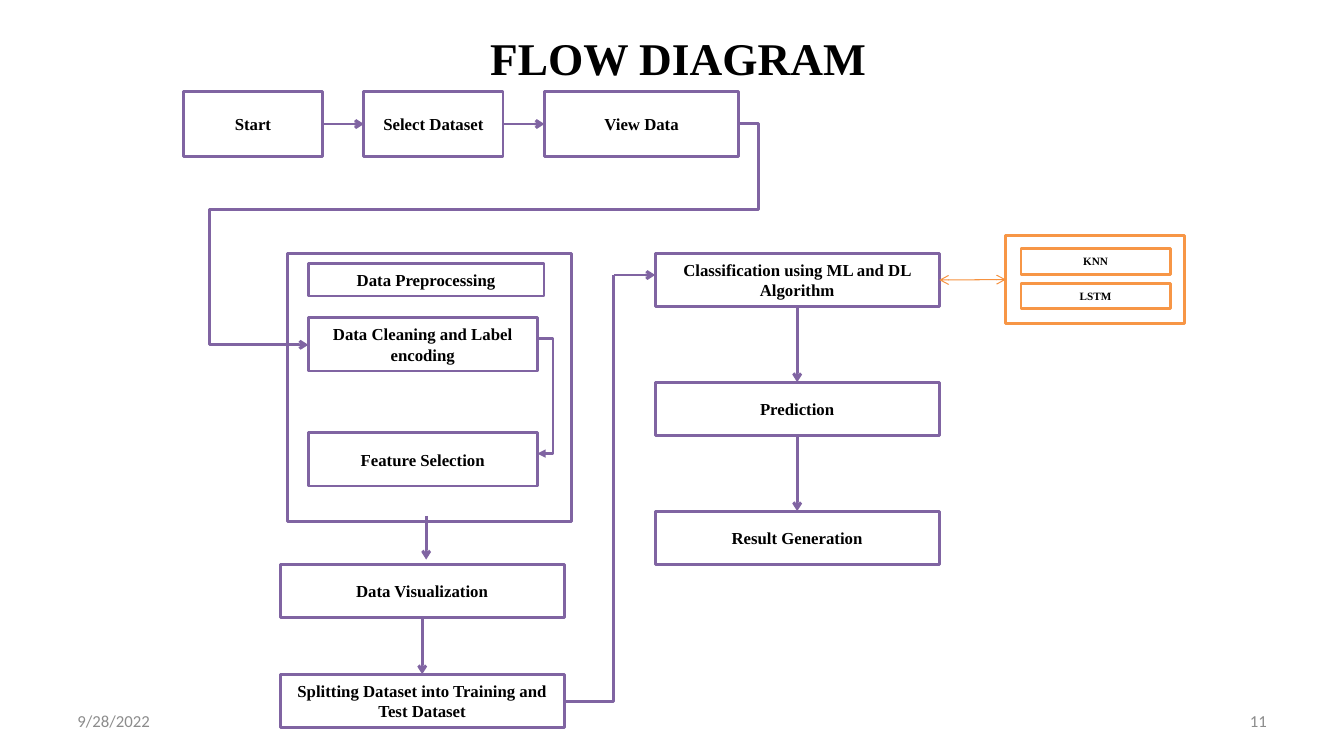
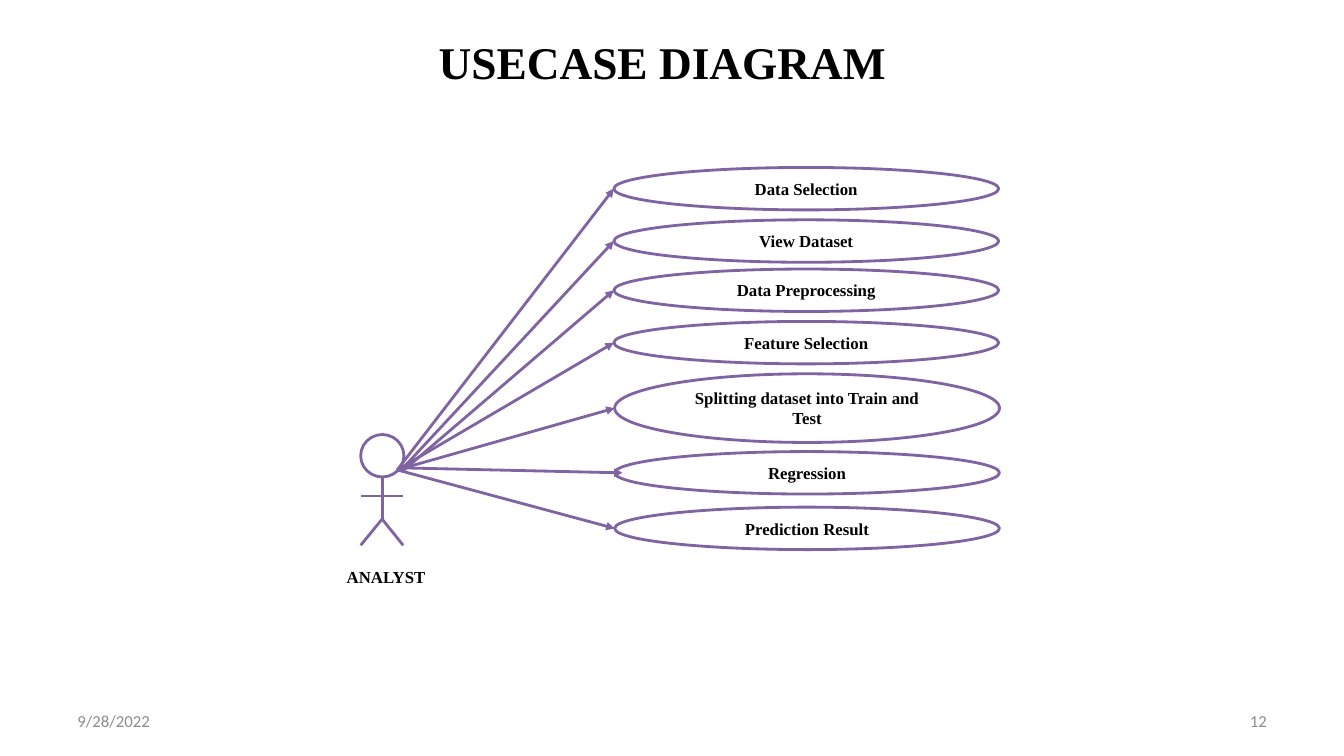
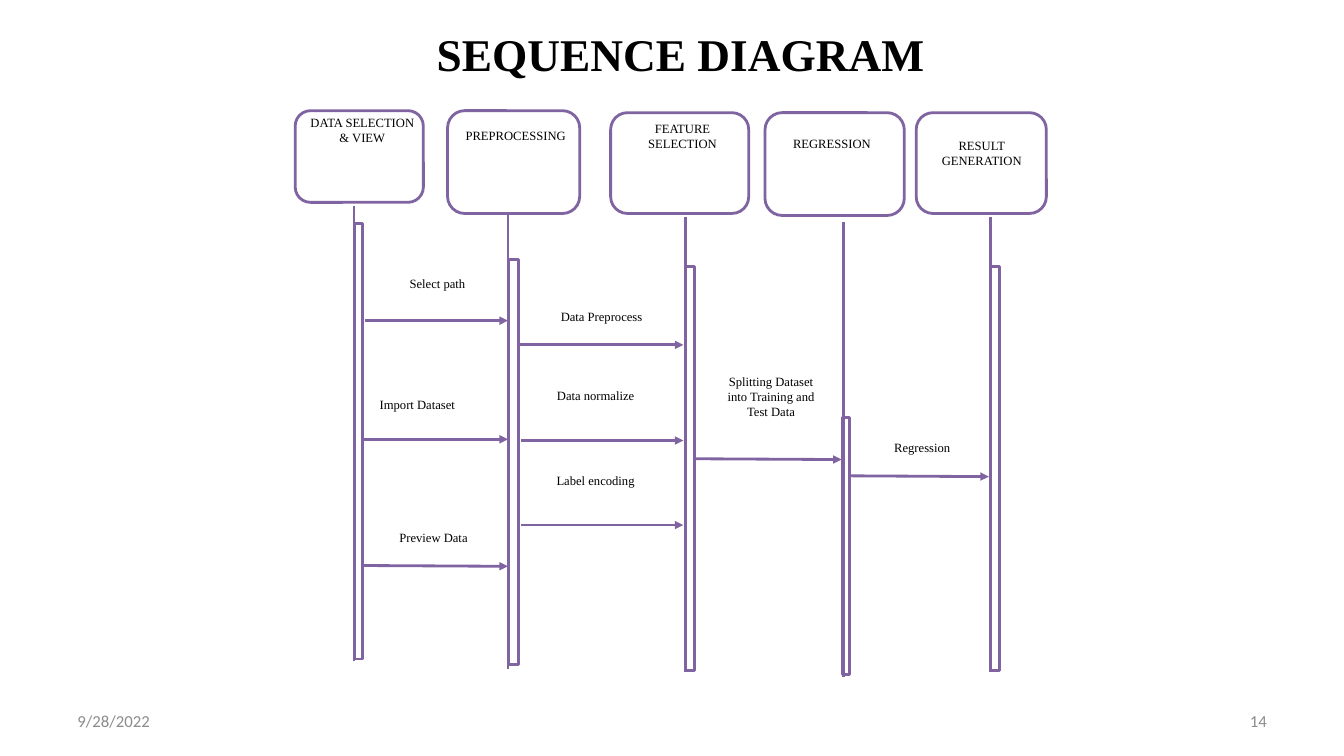
from lxml.etree import SubElement
from pptx import Presentation
from pptx.dml.color import RGBColor
from pptx.enum.shapes import MSO_CONNECTOR as LINK, MSO_SHAPE as SHAPE
from pptx.enum.text import MSO_ANCHOR as ANCHOR, MSO_AUTO_SIZE as FIT, PP_ALIGN as ALIGN
from pptx.oxml.ns import qn
from pptx.util import Cm, Pt

PURPLE = RGBColor(0x80, 0x64, 0xA2)
ORANGE = RGBColor(0xF7, 0x96, 0x46)
ARROW_ORANGE = RGBColor(0xF6, 0x92, 0x40)
WHITE = RGBColor(0xFF, 0xFF, 0xFF)
BLACK = RGBColor(0, 0, 0)
GREY = RGBColor(0x8C, 0x8C, 0x8C)
SERIF, SANS = "Times New Roman", "Calibri"
TOP, LEFT, BOTTOM, RIGHT = range(4)  # connection sites of a rectangle

# ---- Content; all lengths in centimetres ----
DATE = "9/28/2022"
# Title, left, top, slide number
FLOW_HEAD = ("FLOW DIAGRAM", 3.12, 0.56, "11")
USECASE_HEAD = ("USECASE DIAGRAM", 2.72, 0.66, "12")
SEQUENCE_HEAD = ("SEQUENCE DIAGRAM", 3.18, 0.48, "14")

# Step: text, left, top, width, height
STEP_W, STEP_H = 7.16, 1.35
STEPS = {
    "start": ("Start", 4.62, 2.31, 3.51, 1.63),
    "select": ("Select Dataset", 9.17, 2.31, 3.51, 1.63),
    "view": ("View Data", 13.72, 2.31, 4.9, 1.63),
    "panel": ("", 7.24, 6.38, STEP_W, 6.76),
    "preprocess": ("Data Preprocessing", 7.77, 6.65, 5.94, 0.81),
    "clean": ("Data Cleaning and Label encoding", 7.77, 8, 5.77, STEP_H),
    "feature": ("Feature Selection", 7.77, 10.9, 5.77, STEP_H),
    "visualize": ("Data Visualization", 7.06, 14.22, STEP_W, STEP_H),
    "split": ("Splitting Dataset into Training and Test Dataset",
              7.06, 16.99, STEP_W, STEP_H),
    "classify": ("Classification using ML and DL Algorithm",
                 16.51, 6.38, STEP_W, STEP_H),
    "predict": ("Prediction", 16.51, 9.63, STEP_W, STEP_H),
    "result": ("Result Generation", 16.51, 12.88, STEP_W, STEP_H),
}
ALGORITHMS = {
    "models": ("", 25.35, 5.94, 4.5, 2.21),
    "knn": ("KNN", 25.73, 6.27, 3.76, 0.64),
    "lstm": ("LSTM", 25.73, 7.14, 3.76, 0.64),
}
STEP_LINKS = [
    ("start", RIGHT, "select", LEFT),
    ("select", RIGHT, "view", LEFT),
    ("visualize", BOTTOM, "split", TOP),
    ("classify", BOTTOM, "predict", TOP),
    ("predict", BOTTOM, "result", TOP),
]
# Elbow: start, end, x of the vertical part, arrowhead
ELBOWS = [
    ((18.62, 3.12), (5.31, 5.28), 19.13, None),
    ((5.31, 5.28), (7.77, 8.69), 5.28, "arrow"),
    ((14.25, 17.68), (15.47, 6.93), 15.47, None),
    ((13.51, 8.53), (13.54, 11.43), 13.94, "triangle"),
]
LOOSE_ARROWS = [((10.74, 13), (10.74, 14.1)), ((15.47, 6.93), (16.51, 6.93))]

# Use case: text, left, top, height, arrow start, arrow overlap
USECASE_W = 9.7
USECASES = [
    ("Data Selection", 15.47, 4.22, 1.07, (10.01, 11.84), 0),
    ("View Dataset", 15.47, 5.54, 1.07, (10.16, 11.79), 0),
    ("Data Preprocessing", 15.47, 6.78, 1.07, (10.16, 11.86), 0),
    ("Feature Selection", 15.47, 8.1, 1.07, (10.01, 11.84), 0),
    ("Splitting dataset into Train and Test", 15.49, 9.42, 1.73, (10.01, 11.84), 0),
    ("Regression", 15.49, 11.38, 1.07, (10.16, 11.79), 0.2),
    ("Prediction Result", 15.49, 12.78, 1.07, (10.01, 11.84), 0),
]
ACTOR = "ANALYST"
ACTOR_HEAD = (9.09, 10.95, 1.09, 1.07)
ACTOR_LABEL = (8.18, 14.15, 3.1, 0.76)
ACTOR_LIMBS = [
    ((9.63, 11.99), (9.63, 13.08)),
    ((9.63, 13.08), (9.09, 13.74)),
    ((9.63, 13.08), (10.16, 13.74)),
    ((9.09, 12.5), (10.16, 12.5)),
]

# Participant: text, head box, label (left, top, width), lifeline start, bar
LIFELINE_LEN = 11.48
PARTICIPANTS = [
    ("DATA SELECTION & VIEW", (7.44, 2.79, 3.23, 2.31), (7.49, 2.77, 3.28),
     (8.92, 5.18), (8.94, 5.64, 0.2, 10.97)),
    ("PREPROCESSING", (11.28, 2.79, 3.33, 2.59), (11.38, 3.1, 3.23),
     (12.8, 5.38), (12.83, 6.55, 0.23, 10.19)),
    ("FEATURE\nSELECTION", (15.39, 2.84, 3.48, 2.54), (15.32, 2.92, 3.76),
     (17.27, 5.46), (17.27, 6.71, 0.23, 10.19)),
    ("REGRESSION", (19.28, 2.84, 3.51, 2.59), (18.97, 3.3, 3.99),
     (21.26, 5.59), (21.23, 10.52, 0.18, 6.48)),
    ("RESULT GENERATION", (23.09, 2.84, 3.28, 2.54), (23.09, 3.35, 3.3),
     (24.97, 5.46), (24.97, 6.71, 0.23, 10.19)),
]
# Message: text, label (left, top, width), alignment, arrow start, arrow end
MESSAGES = [
    ("Select path", (9.4, 6.83, 3.25), ALIGN.CENTER, (9.19, 8.08), (12.8, 8.08)),
    ("Import Dataset", (9.32, 9.88, 3.25), ALIGN.LEFT, (9.14, 11.07), (12.8, 11.07)),
    ("Preview Data", (9.3, 13.23, 3.25), ALIGN.CENTER, (9.14, 14.25), (12.8, 14.27)),
    ("Data Preprocess", (13.18, 7.67, 3.96), ALIGN.CENTER, (13.03, 8.69), (17.22, 8.69)),
    ("Data normalize", (13.03, 9.65, 3.96), ALIGN.CENTER, (13.13, 11.1), (17.22, 11.1)),
    ("Label encoding", (13.03, 11.79, 3.96), ALIGN.CENTER, (13.13, 13.23), (17.22, 13.23)),
    ("Splitting Dataset into Training and Test Data", (17.88, 9.3, 3.1), ALIGN.CENTER,
     (17.53, 11.56), (21.21, 11.58)),
    ("Regression", (21.59, 10.97, 3.3), ALIGN.CENTER, (21.41, 11.99), (24.92, 12.01)),
]


# ---- Helpers ----
def write(sp, text, size, font=SERIF, color=BLACK, bold=False,
          align=ALIGN.CENTER, anchor=ANCHOR.MIDDLE):
    tf = sp.text_frame
    tf.text = text
    tf.word_wrap = True
    tf.auto_size = FIT.NONE
    tf.vertical_anchor = anchor
    for p in tf.paragraphs:
        p.alignment = align
        for r in p.runs:
            r.font.name, r.font.size, r.font.bold = font, Pt(size), bold
            r.font.color.rgb = color


def add_text(s, text, box, size, **style):
    write(s.shapes.add_textbox(*map(Cm, box)), text, size, **style)


def add_box(s, kind, box, line=PURPLE, fill=WHITE, text="", size=12):
    sp = s.shapes.add_shape(kind, *map(Cm, box))
    sp.shadow.inherit = False
    if fill is None:
        sp.fill.background()
    else:
        sp.fill.solid()
        sp.fill.fore_color.rgb = fill
    if line is None:
        sp.line.fill.background()
    else:
        sp.line.color.rgb = line
        sp.line.width = Pt(2)
    if text:
        write(sp, text, size, bold=True)
    return sp


def add_line(s, start, end, tail=None, head=None, color=PURPLE, width=2, bend_x=None):
    kind = LINK.STRAIGHT if bend_x is None else LINK.ELBOW
    c = s.shapes.add_connector(kind, *map(Cm, start + end))
    c.line.color.rgb = color
    c.line.width = Pt(width)
    ln = c.line._get_or_add_ln()
    for tag, tip in (("a:headEnd", head), ("a:tailEnd", tail)):
        if tip:
            SubElement(ln, qn(tag), type=tip)
    sp_pr = c._element.spPr
    SubElement(sp_pr, qn("a:effectLst"))
    if bend_x is not None:
        geom = sp_pr.find(qn("a:prstGeom"))
        av = geom.find(qn("a:avLst"))
        if av is None:
            av = SubElement(geom, qn("a:avLst"))
        ratio = (bend_x - start[0]) / (end[0] - start[0])
        SubElement(av, qn("a:gd"), name="adj1", fmla=f"val {round(ratio * 100000)}")
    return c


def glue(s, shapes, a, site_a, b, site_b, **style):
    c = add_line(s, (0, 0), (1, 1), **style)
    c.begin_connect(shapes[a], site_a)
    c.end_connect(shapes[b], site_b)


def add_slide(prs, title, left, top, number):
    s = prs.slides.add_slide(prs.slide_layouts[5])
    sp = s.shapes.title
    sp.left, sp.top, sp.width, sp.height = map(Cm, (left, top, 27.94, 1.75))
    write(sp, title, 32.4, bold=True)
    for text, x, align in ((DATE, 1.7, ALIGN.LEFT), (number, 24.28, ALIGN.RIGHT)):
        add_text(s, text, (x, 17.65, 7.9, 1.02), 12, font=SANS, color=GREY, align=align)
    return s


prs = Presentation()
prs.slide_width, prs.slide_height = Cm(33.87), Cm(19.05)

# ---- Flow diagram ----
s = add_slide(prs, *FLOW_HEAD)
shapes = {}
for group, color, size in ((STEPS, PURPLE, 12), (ALGORITHMS, ORANGE, 8)):
    for key, (text, *box) in group.items():
        shapes[key] = add_box(s, SHAPE.RECTANGLE, box, color, text=text, size=size)
for link in STEP_LINKS:
    glue(s, shapes, *link, tail="arrow")
glue(s, shapes, "classify", RIGHT, "models", LEFT,
     head="arrow", tail="arrow", color=ARROW_ORANGE, width=0.75)
for start, end, bend_x, tail in ELBOWS:
    add_line(s, start, end, tail, bend_x=bend_x)
for start, end in LOOSE_ARROWS:
    add_line(s, start, end, "arrow")

# ---- Use case diagram ----
s = add_slide(prs, *USECASE_HEAD)
add_box(s, SHAPE.OVAL, ACTOR_HEAD)
for start, end in ACTOR_LIMBS:
    add_line(s, start, end)
label = add_box(s, SHAPE.RECTANGLE, ACTOR_LABEL, line=None, text=ACTOR)
label.text_frame.vertical_anchor = ANCHOR.TOP
for text, x, y, h, start, overlap in USECASES:
    add_box(s, SHAPE.OVAL, (x, y, USECASE_W, h), text=text)
    add_line(s, start, (x + overlap, y + h / 2), "triangle")

# ---- Sequence diagram ----
s = add_slide(prs, *SEQUENCE_HEAD)
for text, head_box, label, (x, y), bar in PARTICIPANTS:
    add_box(s, SHAPE.ROUNDED_RECTANGLE, head_box, fill=None)
    add_text(s, text, label + (1.8,), 9, anchor=ANCHOR.TOP)
    add_box(s, SHAPE.RECTANGLE, bar, fill=None)
    add_line(s, (x, y), (x, y + LIFELINE_LEN))
for text, label, align, start, end in MESSAGES:
    add_text(s, text, label + (1,), 9, align=align, anchor=ANCHOR.TOP)
    add_line(s, start, end, "triangle")

prs.save("out.pptx")
